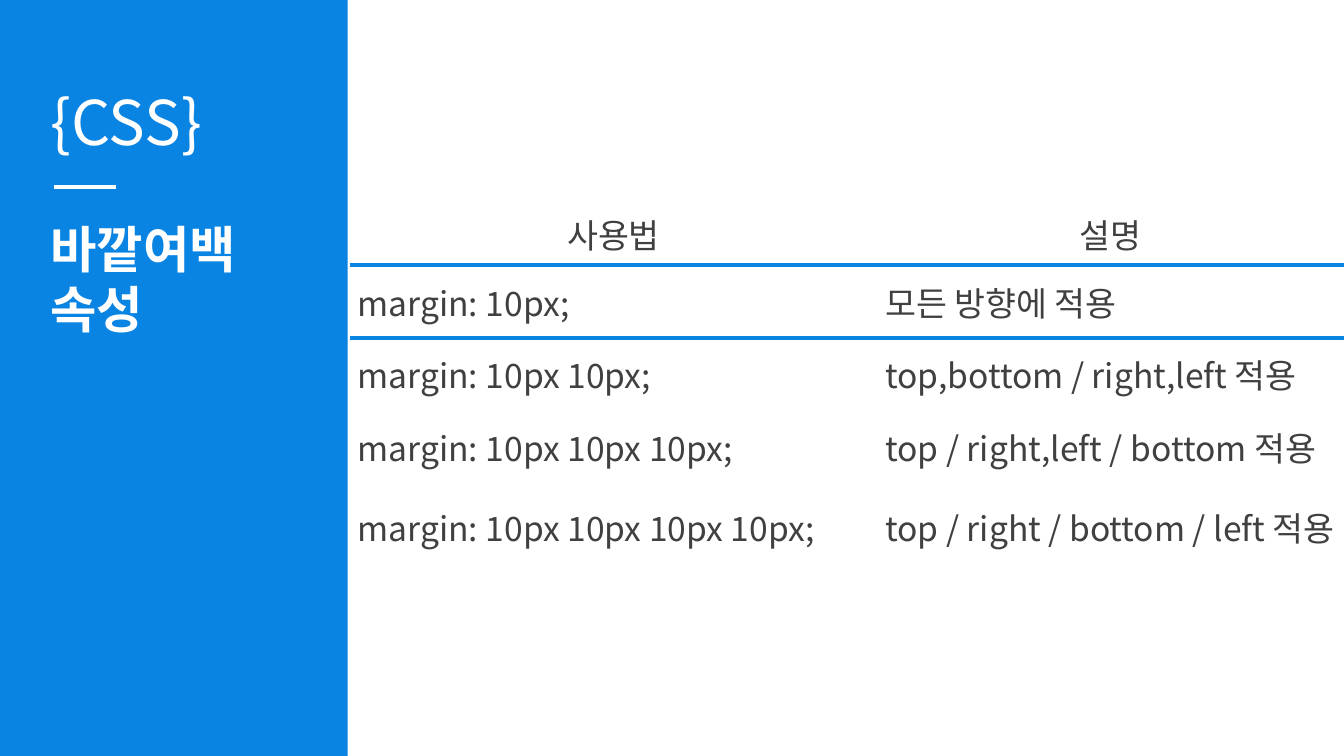
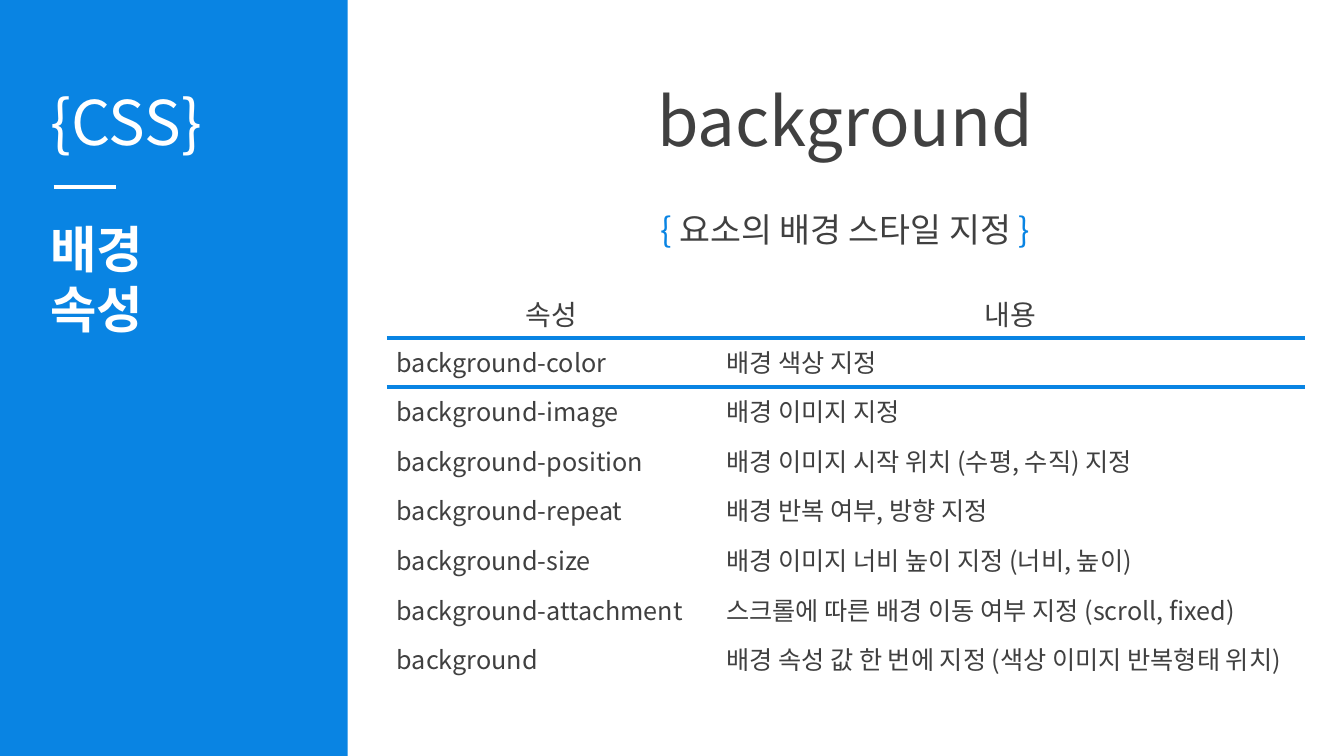
from lxml import etree
from pptx import Presentation
from pptx.dml.color import RGBColor
from pptx.enum.shapes import MSO_CONNECTOR, MSO_SHAPE
from pptx.enum.text import MSO_ANCHOR, MSO_AUTO_SIZE, PP_ALIGN
from pptx.oxml import parse_xml
from pptx.oxml.ns import nsdecls, qn
from pptx.util import Cm, Pt

BLUE = RGBColor(0x09, 0x84, 0xE3)
DARK = RGBColor(0x40, 0x40, 0x40)
WHITE = RGBColor(0xFF, 0xFF, 0xFF)
FONT = "Noto Sans CJK KR"
LEFT, CENTER = PP_ALIGN.LEFT, PP_ALIGN.CENTER
TOP, MIDDLE = MSO_ANCHOR.TOP, MSO_ANCHOR.MIDDLE
GROW = MSO_AUTO_SIZE.SHAPE_TO_FIT_TEXT
RECT, STRAIGHT = MSO_SHAPE.RECTANGLE, MSO_CONNECTOR.STRAIGHT
PLAIN = "{2D5ABB26-0587-4C30-8999-92F81FD0307C}"  # table style without grid

DECK = [
    dict(
        title=["바깥여백", "속성"], width=5.18, heads=[],
        at=(8.81, 5.11), cols=(13.3, 11.75), tall=(1.57, 1.83),
        sizes=(24, 24), anchor=MIDDLE, pad=(0.2, 0.1),
        rows=[
            ("사용법", "설명"),
            ("margin: 10px;", "모든 방향에 적용"),
            ("margin: 10px 10px;", "top,bottom / right,left 적용"),
            ("margin: 10px 10px 10px;", "top / right,left / bottom 적용"),
            ("margin: 10px 10px 10px 10px;", "top / right / bottom / left 적용"),
        ],
    ),
    dict(
        title=["배경", "속성"], width=2.84,
        heads=[
            (1.88, 2.31, 48, [("background", DARK)]),
            (5.13, 1.27, 24, [("{ ", BLUE), ("요소의 배경 스타일 지정 ", DARK), ("}", BLUE)]),
        ],
        at=(9.75, 7.26), cols=(8.3, 14.83), tall=(1.25, 1.25),
        sizes=(20, 18), anchor=TOP, pad=(0.25, 0.13),
        rows=[
            ("속성", "내용"),
            ("background-color", "배경 색상 지정"),
            ("background-image", "배경 이미지 지정"),
            ("background-position", "배경 이미지 시작 위치 (수평, 수직) 지정"),
            ("background-repeat", "배경 반복 여부, 방향 지정"),
            ("background-size", "배경 이미지 너비 높이 지정 (너비, 높이)"),
            ("background-attachment", "스크롤에 따른 배경 이동 여부 지정 (scroll, fixed)"),
            ("background", "배경 속성 값 한 번에 지정 (색상 이미지 반복형태 위치)"),
        ],
    ),
]


def write(frame, lines, size, bold=False, align=LEFT):
    """Fill a text frame; each line is a list of (text, colour) runs."""
    for i, line in enumerate(lines):
        para = frame.add_paragraph() if i else frame.paragraphs[0]
        para.alignment = align
        for text, hue in line:
            run = para.add_run()
            run.text = text
            font = run.font
            font.name, font.size, font.bold = FONT, Pt(size), bold
            font.color.rgb = hue
            east = etree.SubElement(run._r.get_or_add_rPr(), qn("a:ea"))
            east.set("typeface", FONT)


def add_box(slide, x, y, w, h, wrap=False):
    frame = slide.shapes.add_textbox(Cm(x), Cm(y), Cm(w), Cm(h)).text_frame
    frame.word_wrap = wrap
    frame.auto_size = GROW
    return frame


prs = Presentation()
prs.slide_width, prs.slide_height = Cm(33.87), Cm(19.05)

for page in DECK:
    slide = prs.slides.add_slide(prs.slide_layouts[6])

    # Blue side band with its rule and titles
    band = slide.shapes.add_shape(RECT, 0, 0, Cm(8.76), prs.slide_height)
    band.shadow.inherit = False
    band.fill.solid()
    band.fill.fore_color.rgb = BLUE
    band.line.fill.background()
    rule = slide.shapes.add_connector(STRAIGHT, Cm(1.35), Cm(4.72), Cm(2.92), Cm(4.72))
    rule.line.color.rgb = WHITE
    rule.line.width = Pt(3)
    etree.SubElement(rule._element.spPr, qn("a:effectLst"))
    write(add_box(slide, 1.02, 1.98, 4.7, 2.13), [[("{CSS}", WHITE)]], 44)
    title = [[(text, WHITE)] for text in page["title"]]
    write(add_box(slide, 1.02, 5.36, page["width"], 3.33), title, 36, bold=True)

    # Centred headings
    for y, h, size, runs in page["heads"]:
        write(add_box(slide, 8.74, y, 25.12, h, wrap=True), [runs], size, align=CENTER)

    # Property table
    rows, cols = page["rows"], page["cols"]
    high, step = page["tall"]
    x, y = page["at"]
    shape = slide.shapes.add_table(
        len(rows), len(cols), Cm(x), Cm(y),
        Cm(sum(cols)), Cm(high + step * (len(rows) - 1)))
    table = shape.table
    table.first_row = table.horz_banding = False
    table._tbl.tblPr.find(qn("a:tableStyleId")).text = PLAIN
    for c, wide in enumerate(cols):
        table.columns[c].width = Cm(wide)
    side, edge = page["pad"]
    for r, row in enumerate(rows):
        table.rows[r].height = Cm(step if r else high)
        for c, text in enumerate(row):
            cell = table.cell(r, c)
            cell.fill.background()
            cell.vertical_anchor = page["anchor"]
            cell.margin_left = cell.margin_right = Cm(side)
            cell.margin_top = cell.margin_bottom = Cm(edge)
            write(cell.text_frame, [[(text, DARK)]], page["sizes"][min(r, 1)],
                  align=LEFT if r else CENTER)
            if r < 2:
                tag = "lnT" if r else "lnB"
                cell._tc.get_or_add_tcPr().insert(0, parse_xml(
                    f'<a:{tag} {nsdecls("a")} w="{Pt(3)}"><a:solidFill>'
                    f'<a:srgbClr val="{BLUE}"/></a:solidFill></a:{tag}>'))

prs.save("out.pptx")
